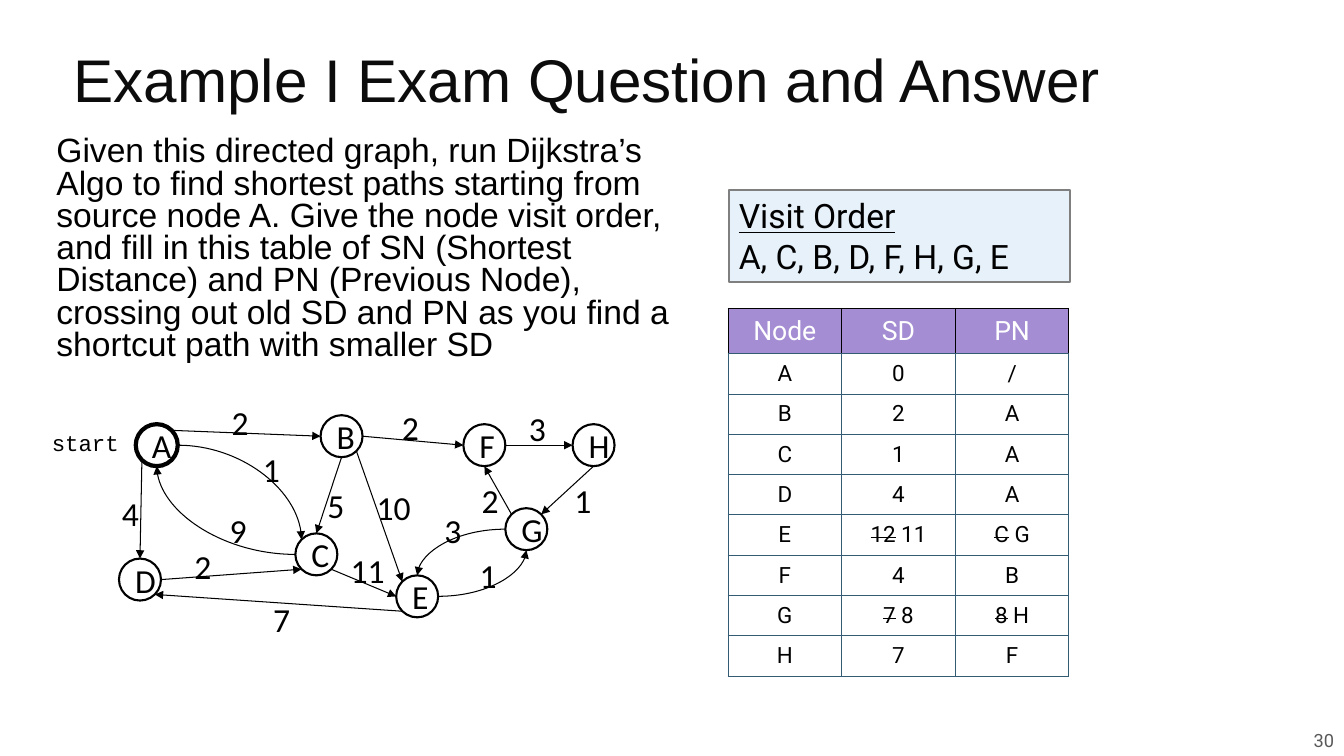
from math import cos, radians, sin

from lxml.etree import SubElement
from pptx import Presentation
from pptx.dml.color import RGBColor
from pptx.enum.shapes import MSO_CONNECTOR as Link, MSO_SHAPE as Preset
from pptx.enum.text import MSO_ANCHOR as Anchor, MSO_AUTO_SIZE as AutoSize, PP_ALIGN as Align
from pptx.oxml import parse_xml
from pptx.oxml.ns import nsdecls, qn
from pptx.util import Pt

BLACK, WHITE, PURPLE, TEAL = "000000", "FFFFFF", "A48DD3", "335B74"
DIAMETER = 30
# Connection sites of an ellipse, counter-clockwise from the top
SITES = ["N", "NW", "W", "SW", "S", "SE", "E", "NE"]

# Graph: node corners, edges between sites, weight positions
NODES = {"A": (97, 303), "B": (229, 296.6), "D": (85, 399), "C": (211, 381),
         "F": (331, 303), "H": (409, 303), "E": (283, 411), "G": (361, 363)}
CURVED = ["A.E C.NW", "C.W A.S", "G.W E.N", "E.E G.S"]
STRAIGHT = ["A.SW D.N", "D.E C.SW", "A.NE B.W", "B.E F.W", "F.E H.W", "G.NW F.S",
            "H.S G.NE", "B.SE E.NW", "B.S C.N", "C.SE E.W", "E.SW D.SE"]
WEIGHTS = [("2", 158.4, 283.7), ("2", 280, 287.3), ("3", 370.8, 288), ("1", 403.2, 339),
           ("10", 262, 344.2), ("2", 337, 339), ("3", 310.3, 360.7), ("1", 335.5, 393),
           ("11", 243.4, 389.5), ("7", 188, 424), ("1", 180.7, 316.8), ("9", 157, 360.7),
           ("2", 131.8, 386.6), ("4", 80, 348.5), ("5", 226.8, 342.7)]

# Answer table: a pair is a crossed-out value and its replacement
ANSWERS = [("Node", "SD", "PN"), ("A", "0", "/"), ("B", "2", "A"), ("C", "1", "A"),
           ("D", "4", "A"), ("E", ("12", " 11"), ("C", " G")), ("F", "4", "B"),
           ("G", ("7", " 8"), ("8", " H")), ("H", "7", "F")]


def color(value):
    return RGBColor.from_string(value)


def write(para, text, font="Calibri", size=24, ink=BLACK, align=Align.LEFT,
          spacing=None, underline=None, strike=False):
    para.alignment = align
    if spacing:
        para.line_spacing = spacing
    span = para.add_run()
    span.text = text
    span.font.name, span.font.size = font, Pt(size)
    span.font.color.rgb = color(ink)
    span.font.underline = underline
    if strike:
        span.font._element.set("strike", "sngStrike")


class Slide:
    def __init__(self, deck):
        self.slide = deck.slides.add_slide(deck.slide_layouts[5])
        self.shapes = self.slide.shapes
        self.nodes = {}

    def frame(self, shape, insets, anchor):
        frame = shape.text_frame
        frame.word_wrap = True
        frame.auto_size = AutoSize.NONE
        frame.vertical_anchor = anchor
        frame.margin_left = frame.margin_right = Pt(insets[0])
        frame.margin_top = frame.margin_bottom = Pt(insets[1])
        return frame

    def title(self, text, left, top, width, height):
        title = self.shapes.title
        title.left, title.top, title.width, title.height = map(Pt, (left, top, width, height))
        frame = self.frame(title, (7.2, 3.6), Anchor.MIDDLE)
        write(frame.paragraphs[0], text, font="Arial", size=43, ink="0C0C0C", spacing=0.8)

    def text(self, text, left, top, width, height, insets=(7.2, 3.6), anchor=Anchor.TOP, **style):
        box = self.shapes.add_textbox(*map(Pt, (left, top, width, height)))
        write(self.frame(box, insets, anchor).paragraphs[0], text, **style)

    def shape(self, preset, left, top, width, height, fill=None, line=BLACK, weight=1.5,
              anchor=Anchor.MIDDLE):
        shape = self.shapes.add_shape(preset, *map(Pt, (left, top, width, height)))
        shape.shadow.inherit = False
        if fill:
            shape.fill.solid()
            shape.fill.fore_color.rgb = color(fill)
        else:
            shape.fill.background()
        shape.line.color.rgb = color(line)
        shape.line.width = Pt(weight)
        return shape, self.frame(shape, (7.2, 3.6), anchor)

    def node(self, name, left, top, **style):
        shape, frame = self.shape(Preset.OVAL, left, top, DIAMETER, DIAMETER, **style)
        write(frame.paragraphs[0], name, align=Align.CENTER)
        self.nodes[name] = shape

    def edge(self, ends, curved=False):
        places, points = [end.split(".") for end in ends.split()], []
        for name, side in places:
            angle = radians(90 + 45 * SITES.index(side))
            left, top = NODES[name]
            radius = DIAMETER / 2
            points += [left + radius + radius * cos(angle), top + radius - radius * sin(angle)]
        kind = Link.CURVE if curved else Link.STRAIGHT
        edge = self.shapes.add_connector(kind, *map(Pt, points))
        edge.line.color.rgb = color(BLACK)
        edge.line.width = Pt(0.75)
        SubElement(edge.line._get_or_add_ln(), qn("a:tailEnd"), type="triangle")
        properties = edge._element.spPr
        SubElement(properties, qn("a:effectLst"))
        if curved:
            properties.find(qn("a:prstGeom")).set("prst", "curvedConnector2")
        # Glue both ends to their nodes
        glue = edge._element.find(".//" + qn("p:cNvCxnSpPr"))
        for tag, (name, side) in zip(("a:stCxn", "a:endCxn"), places):
            SubElement(glue, qn(tag), id=str(self.nodes[name].shape_id),
                       idx=str(SITES.index(side)))

    def borders(self, cell, colors):
        properties = cell._tc.get_or_add_tcPr()
        for index, (side, ink) in enumerate(zip("LRTB", colors)):
            properties.insert(index, parse_xml(
                f'<a:ln{side} {nsdecls("a")} w="{Pt(0.75)}"><a:solidFill>'
                f'<a:srgbClr val="{ink}"/></a:solidFill></a:ln{side}>'))

    def table(self, rows, left, top, width, head_height, row_height):
        height = head_height + row_height * (len(rows) - 1)
        table = self.shapes.add_table(len(rows), len(rows[0]),
                                      *map(Pt, (left, top, width, height))).table
        table.first_row = table.horz_banding = False
        for r, values in enumerate(rows):
            head = r == 0
            table.rows[r].height = Pt(head_height if head else row_height)
            for c, value in enumerate(values):
                cell = table.cell(r, c)
                cell.vertical_anchor = Anchor.MIDDLE
                cell.margin_left = cell.margin_right = Pt(5)
                cell.margin_top = cell.margin_bottom = Pt(5)
                if head:
                    cell.fill.solid()
                    cell.fill.fore_color.rgb = color(PURPLE)
                else:
                    cell.fill.background()
                self.borders(cell, [BLACK] * 3 + [TEAL] if head else [TEAL] * 4)
                spans = value if isinstance(value, tuple) else (value,)
                for index, text in enumerate(spans):
                    write(cell.text_frame.paragraphs[0], text, font="Roboto",
                          size=19 if head else 16, ink=WHITE if head else BLACK,
                          align=Align.CENTER, strike=len(spans) > 1 and index == 0)


def main():
    deck = Presentation()
    deck.slide_width, deck.slide_height = Pt(960), Pt(540)
    slide = Slide(deck)

    # Question
    slide.text("30", 623, 512, 337, 33, insets=(7.2, 7.2), anchor=Anchor.MIDDLE,
               font="Roboto", size=13, ink="595959", align=Align.RIGHT)
    slide.text("Given this directed graph, run Dijkstra’s Algo to find shortest paths starting "
               "from source node A. Give the node visit order, and fill in this table of SN "
               "(Shortest Distance) and PN (Previous Node), crossing out old SD and PN as you "
               "find a shortcut path with smaller SD",
               36.7, 94.3, 462, 176, insets=(3.6, 3.6), font="Arial", spacing=0.8)
    slide.title("Example I Exam Question and Answer", 45.4, 21, 880, 80)

    # Graph
    for name, corner in NODES.items():
        style = {"fill": WHITE, "weight": 3} if name == "A" else {}
        slide.node(name, *corner, **style)
    for ends in CURVED:
        slide.edge(ends, curved=True)
    for ends in STRAIGHT:
        slide.edge(ends)
    for weight, left, top in WEIGHTS:
        slide.text(weight, left, top, 14.4 + 12.2 * len(weight), 36)
    slide.text("start", 18, 297.4, 76.3, 37.4, insets=(9.4, 9.4), font="Courier New",
               size=16, align=Align.RIGHT)

    # Answer
    _, frame = slide.shape(Preset.RECTANGLE, 520.6, 136, 243.4, 65.5, fill="E7F1FA",
                           line="7F7F7F", anchor=Anchor.TOP)
    write(frame.paragraphs[0], "Visit Order", font="Roboto", underline=True)
    write(frame.add_paragraph(), "A, C, B, D, F, H, G, E", font="Roboto")
    slide.table(ANSWERS, 520, 220.3, 243.6, 32, 28.8)

    deck.save("out.pptx")


if __name__ == "__main__":
    main()
